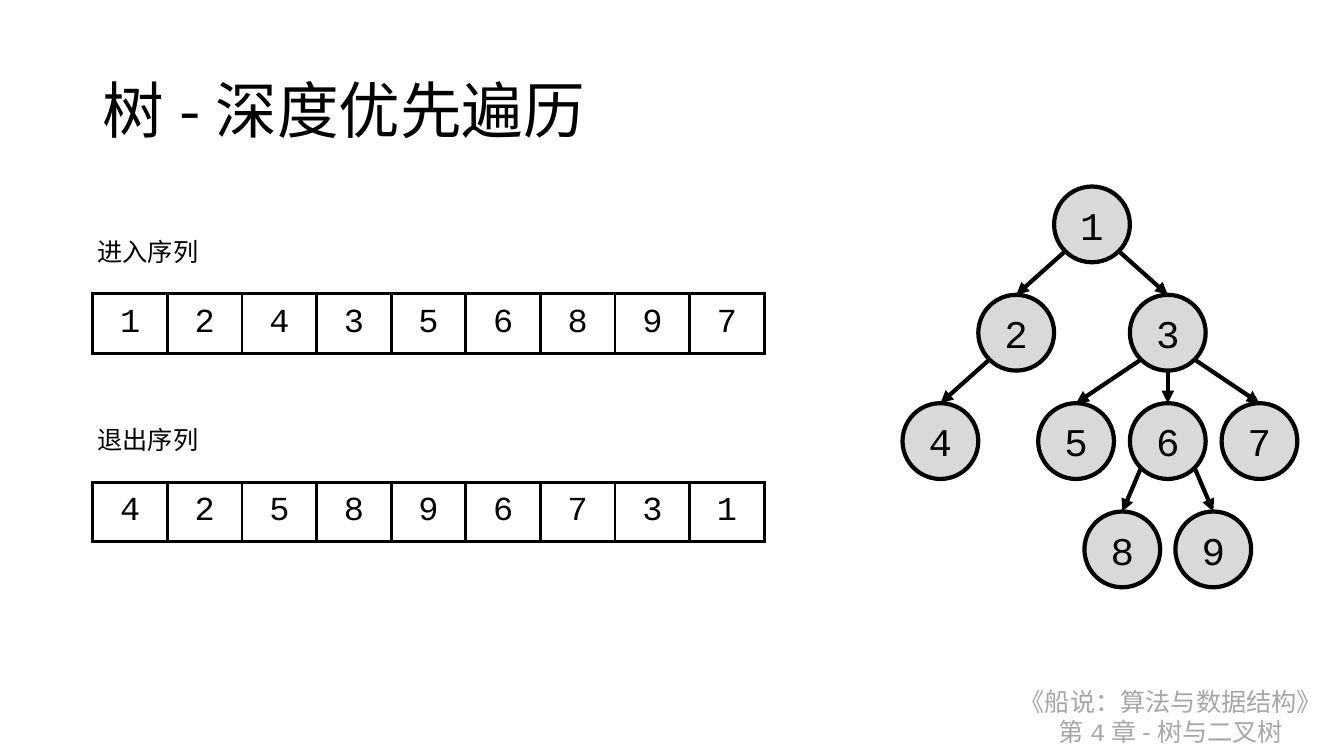
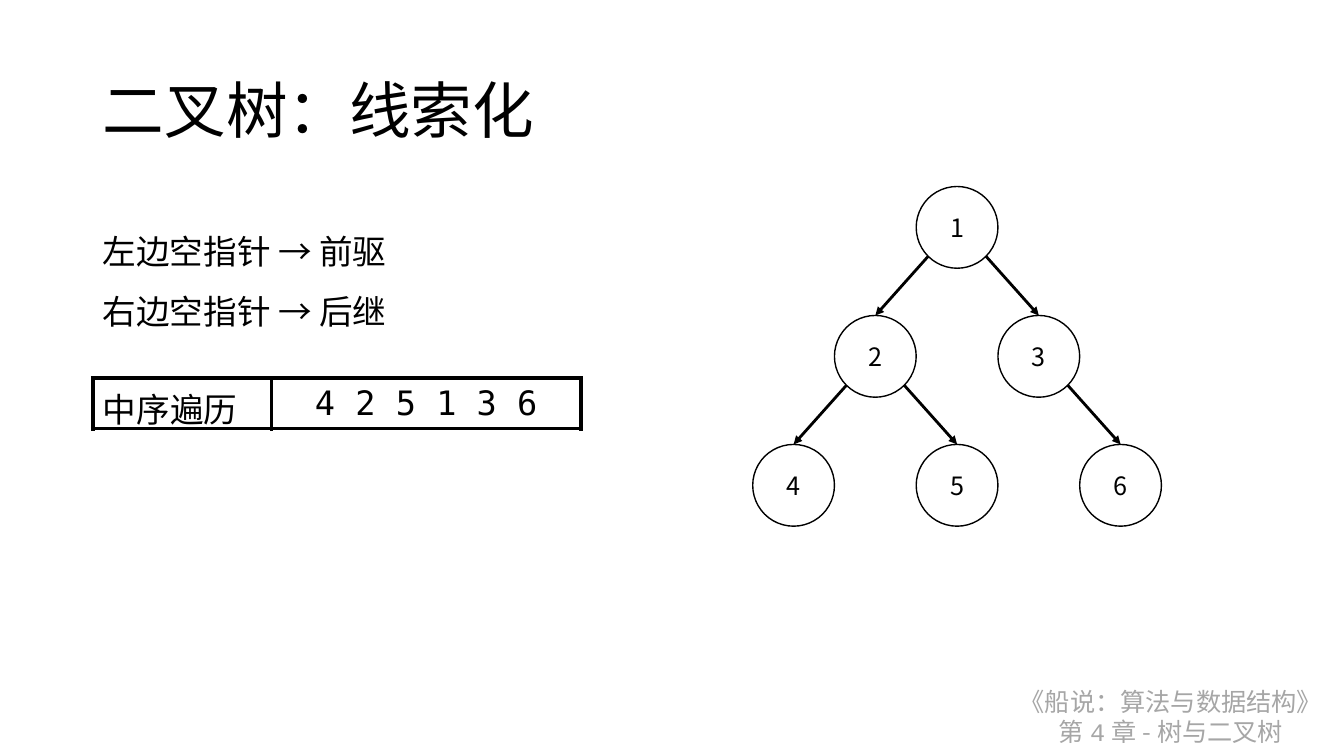
from lxml import etree
from pptx import Presentation
from pptx import util as u
from pptx.dml.color import RGBColor
from pptx.enum import shapes, text
from pptx.oxml import ns

COLORS = {"ink": "000000", "node": "D9D9D9", "footer": "A6A6A6"}
CJK, CODE, MONO = "Noto Sans CJK SC", "Courier New", "DejaVu Sans Mono"
LEFT, CENTER = text.PP_ALIGN.LEFT, text.PP_ALIGN.CENTER
MIDDLE = text.MSO_ANCHOR.MIDDLE
GRID_LEFT = 2.34


def rgb(name):
    return RGBColor.from_string(COLORS[name])


def sub(parent, tag, **attrs):
    return etree.SubElement(parent, ns.qn(tag), attrs)


def write(tf, *lines, size=18, font=CJK, color="ink", align=LEFT, spacing=None):
    """Fill a text frame; a line is a string or a list of (text, font) runs."""
    for i, line in enumerate(lines):
        p = tf.add_paragraph() if i else tf.paragraphs[0]
        p.alignment = align
        if spacing:
            p.line_spacing = spacing
        for content, face in [(line, font)] if isinstance(line, str) else line:
            r = p.add_run()
            r.text = content
            r.font.size = u.Pt(size)
            r.font.color.rgb = rgb(color)
            r.font.name = face
            sub(r.font._element, "a:ea", typeface=face)


def add_text(s, x, y, w, h, *lines, **fmt):
    sp = s.shapes.add_textbox(u.Cm(x), u.Cm(y), u.Cm(w), u.Cm(h))
    sp.text_frame.word_wrap = False
    write(sp.text_frame, *lines, **fmt)
    return sp


def style_layout(layout):
    title = layout.placeholders[0]
    title.left, title.top = u.Cm(GRID_LEFT), u.Cm(1.02)
    title.width, title.height = u.Cm(29.21), u.Cm(3.68)


def add_master_footer(prs, s):
    """Build the footer on a slide, then move it to the master."""
    sp = add_text(s, 25.32, 17.17, 8.38, 1.8, "《船说：算法与数据结构》",
                  [("第", CJK), ("4", CODE), ("章-树与二叉树", CJK)],
                  color="footer", align=CENTER)
    prs.slide_master.shapes.element.append(sp.element)


def add_slide(prs, layout, title):
    s = prs.slides.add_slide(layout)
    tf = s.shapes.title.text_frame
    tf.vertical_anchor = MIDDLE
    write(tf, title, size=44, spacing=0.9)
    return s


def add_border(cell, width):
    tcPr = cell._tc.get_or_add_tcPr()
    for side in ("a:lnL", "a:lnR", "a:lnT", "a:lnB"):
        ln = sub(tcPr, side, w=str(u.Pt(width)))
        sub(sub(ln, "a:solidFill"), "a:srgbClr", val=COLORS["ink"])


def add_row(s, y, height, widths, cells, border):
    """Add a one-row table; each cell is (text, font, alignment)."""
    tbl = s.shapes.add_table(1, len(cells), u.Cm(GRID_LEFT), u.Cm(y),
                             u.Cm(sum(widths)), u.Cm(height)).table
    tbl.first_row = tbl.horz_banding = False
    for i, (content, font, align) in enumerate(cells):
        tbl.columns[i].width = u.Cm(widths[i])
        cell = tbl.cell(0, i)
        cell.vertical_anchor = MIDDLE
        add_border(cell, border)
        cell.fill.background()
        write(cell.text_frame, content, size=24, font=font, align=align)


def add_sequence(s, y, caption, digits):
    add_text(s, 2.21, y, 3.15, 1.02, caption)
    add_row(s, y + 1.58, 1.5, [1.88] * len(digits),
            [(d, CODE, CENTER) for d in digits], 2.25)


def add_node(s, cx, y, d, label, fill, line, size, font):
    sp = s.shapes.add_shape(shapes.MSO_SHAPE.OVAL, u.Cm(cx - d / 2), u.Cm(y), u.Cm(d), u.Cm(d))
    sp.shadow.inherit = False
    if fill:
        sp.fill.solid()
        sp.fill.fore_color.rgb = rgb(fill)
    else:
        sp.fill.background()
    sp.line.color.rgb = rgb("ink")
    sp.line.width = u.Pt(line)
    tf = sp.text_frame
    tf.vertical_anchor = MIDDLE
    tf.margin_left = tf.margin_right = 0
    write(tf, label, size=size, font=font, align=CENTER)
    return sp


def add_edge(s, parent, child, width):
    """Draw an arrow from the parent's lower rim to the child's top."""
    r = parent.width / 2
    cx, cy = parent.left + r, parent.top + r
    dx = child.left - parent.left
    if abs(dx) < u.Cm(0.05):
        x, y = cx, cy + r
    else:
        diagonal = r * 0.5 ** 0.5
        x, y = cx + (diagonal if dx > 0 else -diagonal), cy + diagonal
    c = s.shapes.add_connector(shapes.MSO_CONNECTOR.STRAIGHT, int(x), int(y), 0, 0)
    c.end_connect(child, 0)
    c.line.color.rgb = rgb("ink")
    c.line.width = u.Pt(width)
    sub(c.line._get_or_add_ln(), "a:tailEnd", type="triangle")
    sub(c._element.spPr, "a:effectLst")


def add_tree(s, cx, y, d, step, nodes, edge, **node_style):
    """Draw {label: (parent, level, offset from the root in diameters)}."""
    drawn = {label: add_node(s, cx + offset * d, y + level * step, d, label, **node_style)
             for label, (_, level, offset) in nodes.items()}
    for label, (parent, _, _) in nodes.items():
        if parent:
            add_edge(s, drawn[parent], drawn[label], edge)


def add_traversal(s):
    add_tree(s, 27.52, 4.7, 1.91, 2.73, {
        "1": (None, 0, 0), "2": ("1", 1, -1), "3": ("1", 1, 1),
        "4": ("2", 2, -2), "5": ("3", 2, -0.21), "6": ("3", 2, 1),
        "7": ("3", 2, 2.21), "8": ("6", 3, 0.4), "9": ("6", 3, 1.6),
    }, edge=3, fill="node", line=3, size=28, font=CODE)
    add_sequence(s, 5.82, "进入序列", "124356897")
    add_sequence(s, 10.57, "退出序列", "425896731")


def add_threading(s):
    add_tree(s, 24.12, 4.7, 2.06, 3.25, {
        "1": (None, 0, 0), "2": ("1", 1, -1), "3": ("1", 1, 1),
        "4": ("2", 2, -2), "5": ("2", 2, 0), "6": ("3", 2, 2),
    }, edge=2, fill=None, line=1, size=18, font=CJK)
    add_text(s, GRID_LEFT, 5.18, 7.8, 3.18, "左边空指针 → 前驱", "右边空指针 → 后继",
             size=24, spacing=1.5)
    add_row(s, 9.53, 1.27, [4.5, 7.8],
            [("中序遍历", CJK, LEFT), ("4 2 5 1 3 6", MONO, CENTER)], 3)


def main():
    prs = Presentation()
    prs.slide_width, prs.slide_height = u.Cm(33.87), u.Cm(19.05)
    layout = prs.slide_layouts[5]
    style_layout(layout)
    s = add_slide(prs, layout, "树-深度优先遍历")
    add_master_footer(prs, s)
    add_traversal(s)
    add_threading(add_slide(prs, layout, "二叉树：线索化"))
    prs.save("out.pptx")


if __name__ == "__main__":
    main()
